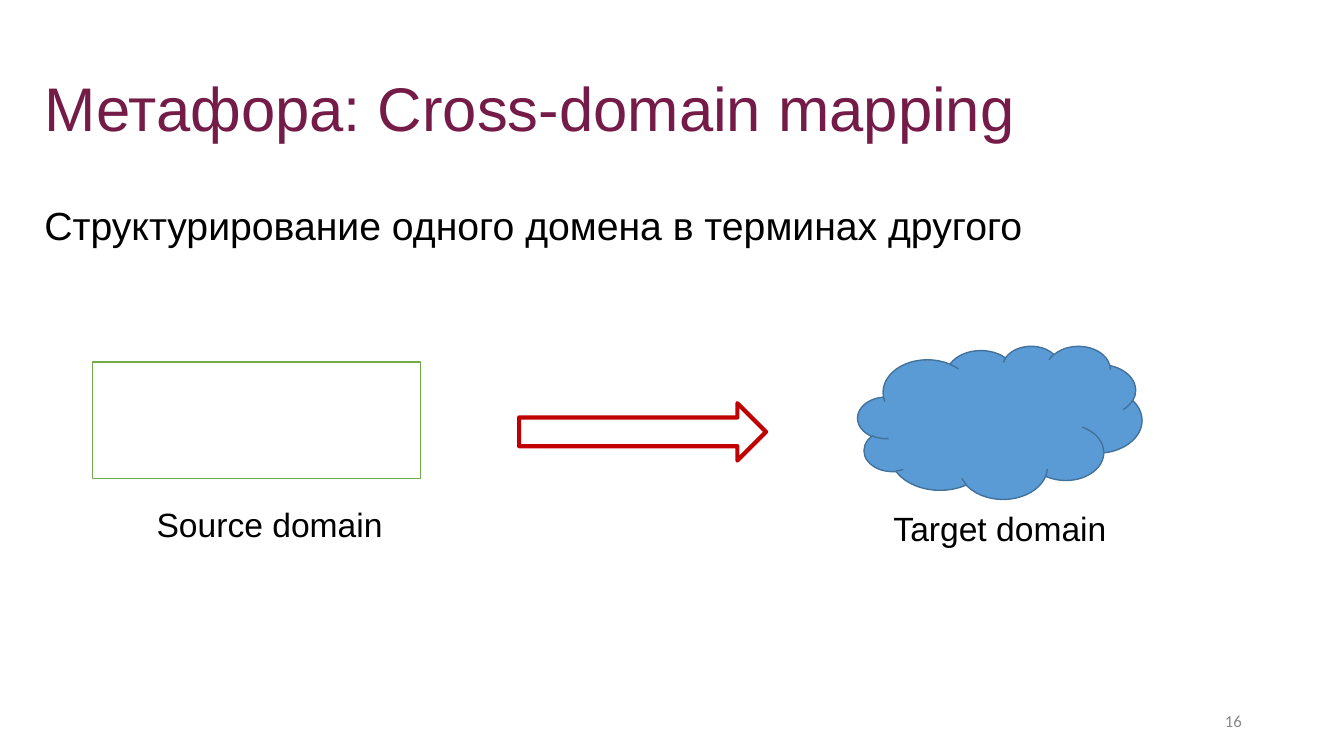
from dataclasses import dataclass

from lxml import etree
from pptx import Presentation
from pptx.dml.color import RGBColor
from pptx.enum.shapes import MSO_SHAPE
from pptx.enum.text import MSO_ANCHOR, MSO_AUTO_SIZE, PP_ALIGN
from pptx.oxml.ns import qn
from pptx.util import Pt

RECTANGLE, ARROW, CLOUD = MSO_SHAPE.RECTANGLE, MSO_SHAPE.RIGHT_ARROW, MSO_SHAPE.CLOUD
LEFT, CENTER, RIGHT = PP_ALIGN.LEFT, PP_ALIGN.CENTER, PP_ALIGN.RIGHT
TOP, MIDDLE = MSO_ANCHOR.TOP, MSO_ANCHOR.MIDDLE
NO_AUTOFIT = MSO_AUTO_SIZE.NONE


@dataclass(frozen=True)
class Theme:
    font: str = "Arial"
    number_font: str = "Calibri"
    title_size: int = 44
    body_size: int = 28
    label_size: int = 24
    number_size: int = 12
    title: str = "741B47"
    text: str = "000000"
    number: str = "888888"
    source_fill: str = "FFFFFF"
    source_line: str = "70AD47"
    mapping_line: str = "C00000"
    target_fill: str = "5B9BD5"
    target_line: str = "42719B"


class SlideBuilder:
    def __init__(self, slide, theme):
        self.slide = slide
        self.theme = theme

    def place(self, item, box):
        item.left, item.top, item.width, item.height = map(Pt, box)

    def set_text(self, holder, text, size, color, align, anchor, font=None):
        frame = holder.text_frame
        frame.text = text
        frame.word_wrap = True
        frame.auto_size = NO_AUTOFIT
        frame.vertical_anchor = anchor
        paragraph = frame.paragraphs[0]
        paragraph.alignment = align
        paragraph.font.name = font or self.theme.font
        paragraph.font.size = Pt(size)
        paragraph.font.color.rgb = RGBColor.from_string(color)
        return paragraph

    def title(self, text, box):
        heading = self.slide.shapes.title
        self.place(heading, box)
        paragraph = self.set_text(heading, text, self.theme.title_size, self.theme.title, LEFT, MIDDLE)
        paragraph.line_spacing = 0.9

    def body(self, text, box):
        statement = self.slide.placeholders[1]
        self.place(statement, box)
        paragraph = self.set_text(statement, text, self.theme.body_size, self.theme.text, LEFT, TOP)
        paragraph.line_spacing = 0.9
        paragraph.space_before = Pt(0)
        properties = paragraph._p.get_or_add_pPr()
        properties.set("marL", "0")
        properties.set("indent", "0")
        bullet = etree.Element(qn("a:buNone"))
        properties.find(qn("a:defRPr")).addprevious(bullet)

    def label(self, text, box):
        caption = self.slide.shapes.add_textbox(*map(Pt, box))
        self.set_text(caption, text, self.theme.label_size, self.theme.text, CENTER, TOP)

    def page_number(self, text, box):
        number = self.slide.shapes.add_textbox(*map(Pt, box))
        self.set_text(number, text, self.theme.number_size, self.theme.number, RIGHT, MIDDLE,
                      self.theme.number_font)

    def figure(self, kind, box, line, width=1, fill=None):
        figure = self.slide.shapes.add_shape(kind, *map(Pt, box))
        figure.shadow.inherit = False
        if fill:
            figure.fill.solid()
            figure.fill.fore_color.rgb = RGBColor.from_string(fill)
        else:
            figure.fill.background()
        figure.line.color.rgb = RGBColor.from_string(line)
        figure.line.width = Pt(width)


def main():
    deck = Presentation()
    deck.slide_width, deck.slide_height = Pt(960), Pt(540)
    theme = Theme()
    builder = SlideBuilder(deck.slides.add_slide(deck.slide_layouts[1]), theme)

    builder.title("Метафора: Cross-domain mapping", (24.5, 27.4, 828, 104.4))
    builder.body("Структурирование одного домена в терминах другого", (24.5, 144, 869, 337.7))

    builder.figure(RECTANGLE, (66.2, 258.5, 234, 83.5), theme.source_line, fill=theme.source_fill)
    builder.label("Target domain", (626.4, 359.3, 175.7, 36))
    builder.label("Source domain", (85.7, 356.4, 213.8, 36))
    builder.figure(ARROW, (370.8, 288, 176.4, 41), theme.mapping_line, width=3)
    builder.page_number("16", (678.2, 500.4, 216, 28.8))
    builder.figure(CLOUD, (612.7, 247, 203, 109.4), theme.target_line, fill=theme.target_fill)

    deck.save("out.pptx")


if __name__ == "__main__":
    main()
